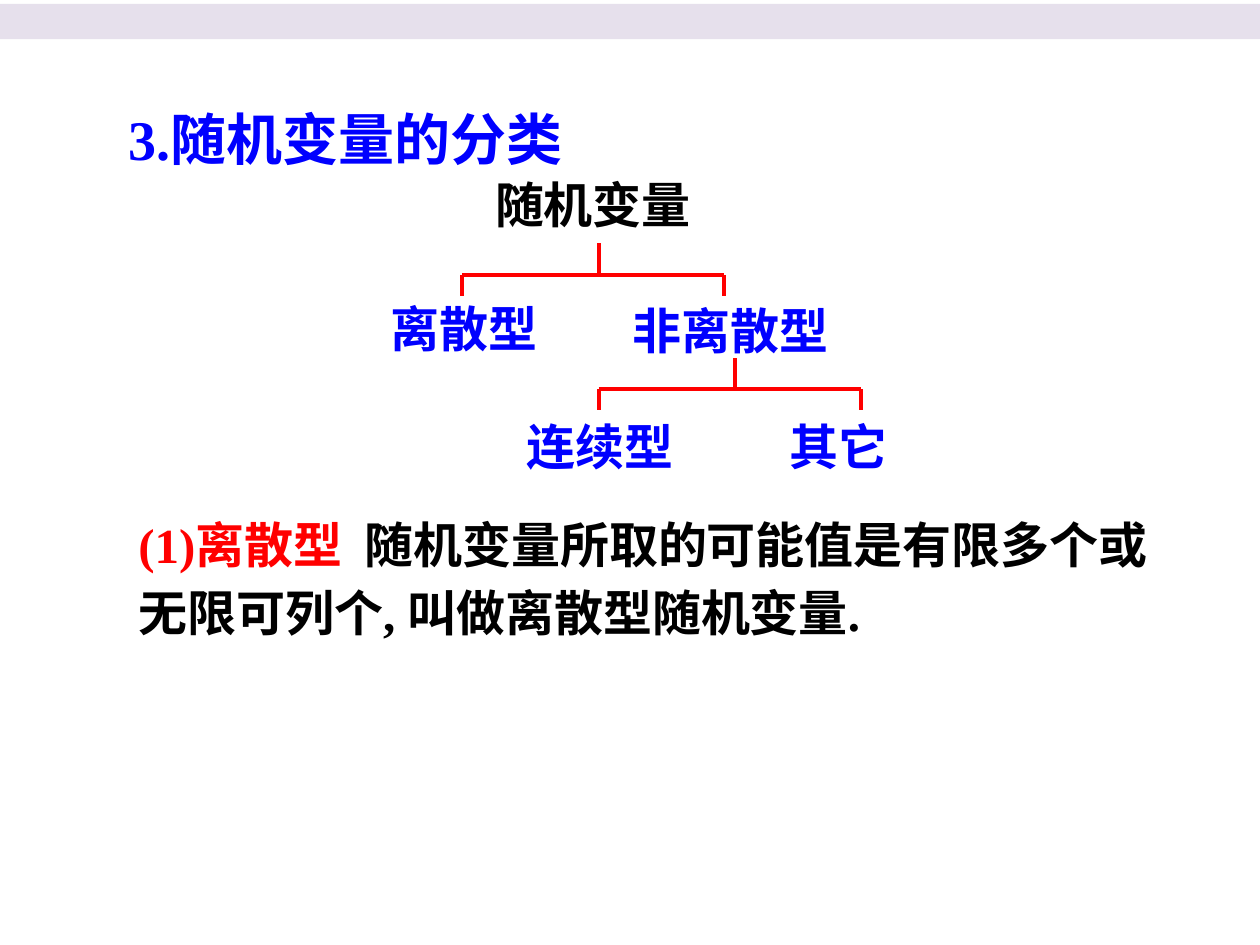
from dataclasses import dataclass

from lxml import etree
from pptx import Presentation
from pptx import util as u
from pptx.dml.color import RGBColor
from pptx.enum import shapes, text
from pptx.oxml.ns import qn


@dataclass(frozen=True)
class Theme:
    band: str = "E6E0EC"
    blue: str = "0000FF"
    red: str = "FF0000"
    black: str = "000000"
    title: int = 32
    body: int = 28
    rule: float = 2.25
    latin: str = "Times New Roman"
    asian: str = "Noto Sans CJK SC"


class SlideBuilder:
    def __init__(self, prs, theme):
        self.theme = theme
        self.s = prs.slides.add_slide(prs.slide_layouts[6])

    def band(self, x, y, w, h):
        sp = self.s.shapes.add_shape(
            shapes.MSO_SHAPE.RECTANGLE, *map(u.Cm, (x, y, w, h)))
        sp.shadow.inherit = False
        sp.fill.solid()
        sp.fill.fore_color.rgb = RGBColor.from_string(self.theme.band)
        sp.line.fill.background()

    def text(self, x, y, w, h, paragraphs, size, wrap=False, **spacing):
        tf = self.s.shapes.add_textbox(*map(u.Cm, (x, y, w, h))).text_frame
        tf.word_wrap = wrap
        tf.auto_size = text.MSO_AUTO_SIZE.NONE
        for i, runs in enumerate(paragraphs):
            p = tf.paragraphs[0] if i == 0 else tf.add_paragraph()
            for name, value in spacing.items():
                if i or name != "space_before":
                    setattr(p, name, value)
            for words, color in runs:
                self.run(p, words, color, size)

    def run(self, p, words, color, size):
        r = p.add_run()
        r.text = words
        form = {"size": u.Pt(size), "bold": True, "name": self.theme.latin}
        for name, value in form.items():
            setattr(r.font, name, value)
        r.font.color.rgb = RGBColor.from_string(color)
        ea = etree.SubElement(r._r.get_or_add_rPr(), qn("a:ea"))
        ea.set("typeface", self.theme.asian)

    def label(self, x, y, words, color):
        width = 0.51 + 0.99 * len(words)
        self.text(x, y, width, 1.45, [[(words, color)]], self.theme.body)

    def line(self, x1, y1, x2, y2):
        sp = self.s.shapes.add_connector(
            shapes.MSO_CONNECTOR.STRAIGHT, *map(u.Cm, (x1, y1, x2, y2)))
        sp.line.color.rgb = RGBColor.from_string(self.theme.red)
        sp.line.width = u.Pt(self.theme.rule)
        etree.SubElement(sp._element.spPr, qn("a:effectLst"))

    def bracket(self, left, stem, y, span=5.28, rise=0.64, drop=0.42):
        right = left + span
        self.line(left, y, right, y)
        for x in (left, right):
            self.line(x, y, x, y + drop)
        self.line(stem, y, stem, y - rise)


def main():
    prs = Presentation()
    prs.slide_width, prs.slide_height = u.Cm(25.4), u.Cm(19.05)
    t = Theme()
    b = SlideBuilder(prs, t)

    b.band(0, 0.08, 25.4, 0.71)
    b.text(2.34, 1.98, 9.3, 1.6, [[("3.随机变量的分类", t.blue)]], t.title, wrap=True)

    b.label(9.73, 3.4, "随机变量", t.black)
    b.bracket(9.32, 12.07, 5.54)
    b.label(7.62, 5.89, "离散型", t.blue)
    b.label(12.5, 5.94, "非离散型", t.blue)
    b.bracket(12.07, 14.81, 7.85)
    b.label(10.36, 8.28, "连续型", t.blue)
    b.label(15.67, 8.28, "其它", t.blue)

    definition = [
        [("(1)离散型", t.red), ("  随机变量所取的可能值是有限多个或", t.black)],
        [("无限可列个, 叫做离散型随机变量.", t.black)],
    ]
    b.text(2.54, 10.34, 22.43, 3.1, definition, t.body, wrap=True,
           line_spacing=0.95, space_before=u.Pt(7))

    prs.save("out.pptx")


if __name__ == "__main__":
    main()
